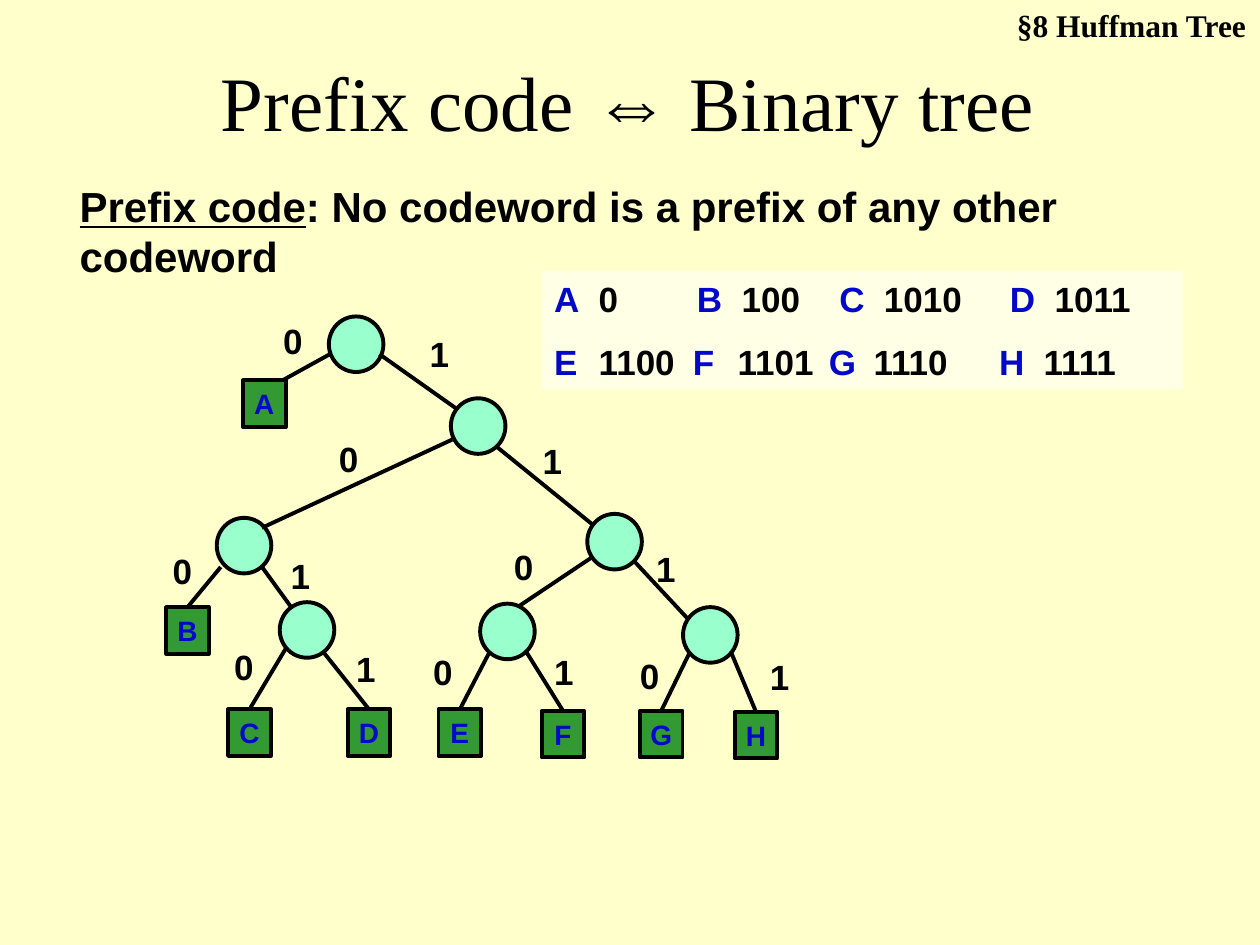
from dataclasses import dataclass

from pptx import Presentation
from pptx.dml.color import RGBColor
from pptx.enum.shapes import MSO_CONNECTOR, MSO_SHAPE
from pptx.enum.text import MSO_ANCHOR, MSO_AUTO_SIZE, PP_ALIGN
from pptx.oxml.ns import qn
from pptx.util import Cm, Pt


@dataclass(frozen=True)
class Theme:
    """Colours, fonts and type sizes of the slide."""
    background: str = "FFFFCC"
    panel: str = "FFFFE5"
    node: str = "99FFCC"
    leaf: str = "339933"
    ink: str = "000000"
    accent: str = "0207CA"
    sans: str = "Arial"
    serif: str = "Times New Roman"
    title: int = 44
    body: int = 24
    code: int = 20
    header: int = 18
    letter: int = 16
    stroke: float = 2.25


THEME = Theme()

CODES = {"A": "0", "B": "100", "C": "1010", "D": "1011",
         "E": "1100", "F": "1101", "G": "1110", "H": "1111"}

CODE_ROWS = [("ABCD", (0, 2.88, 5.75, 9.19)), ("EFGH", (0, 2.8, 5.54, 8.97))]
CODE_INDENT = 0.9

NODES = [(6.63, 6.38), (9.09, 8.03), (4.37, 10.44), (11.84, 10.36),
         (5.64, 12.14), (9.68, 12.17), (13.77, 12.24)]

LEAVES = {"A": (4.9, 7.67), "B": (3.35, 12.24), "C": (4.6, 14.3), "D": (7.01, 14.3),
          "E": (8.84, 14.3), "F": (10.92, 14.33), "G": (12.9, 14.33), "H": (14.81, 14.35)}

BRANCHES = {
    "0": ((6.65, 7.14), (5.69, 7.67), (5.46, 6.32)),
    "1": ((7.65, 7.14), (9.19, 8.23), (8.41, 6.58)),
    "10": ((9.12, 8.86), (5.28, 10.64), (6.58, 8.69)),
    "11": ((10.03, 9.02), (11.94, 10.57), (10.69, 8.74)),
    "100": ((4.45, 11.43), None, (3.23, 10.95)),
    "101": ((5.26, 11.4), (5.87, 12.24), (5.61, 11.05)),
    "110": ((11.91, 11.25), (10.46, 12.22), (10.11, 10.87)),
    "111": ((12.8, 11.33), (13.89, 12.5), (12.98, 10.92)),
    "1010": ((5.77, 13.06), None, (4.47, 12.88)),
    "1011": ((6.53, 13.16), None, (6.93, 12.93)),
    "1100": ((9.86, 13.16), None, (8.48, 12.98)),
    "1101": ((10.59, 13.11), None, (10.92, 12.98)),
    "1110": ((13.89, 13.18), None, (12.65, 13.06)),
    "1111": ((14.73, 13.13), None, (15.27, 13.08)),
}


def colour(value):
    """Turn a theme colour into an RGB colour."""
    return RGBColor.from_string(value)


def add_run(paragraph, text, size, ink=THEME.ink, font=THEME.sans, bold=True, underline=False):
    """Append one formatted run to a paragraph."""
    run = paragraph.add_run()
    run.text = text
    run.font.name = font
    run.font.size = Pt(size)
    run.font.bold = bold
    run.font.underline = underline
    run.font.color.rgb = colour(ink)


def place(shape, left, top, width, height):
    """Move and size a placeholder."""
    shape.left, shape.top = Cm(left), Cm(top)
    shape.width, shape.height = Cm(width), Cm(height)


def add_text_box(slide, left, top, width, height, wrap=True):
    """Add an empty text box."""
    box = slide.shapes.add_textbox(Cm(left), Cm(top), Cm(width), Cm(height))
    box.text_frame.word_wrap = wrap
    return box


def add_node(slide, preset, position, size, fill):
    """Add an outlined tree node."""
    shape = slide.shapes.add_shape(preset, *map(Cm, position + size))
    shape.shadow.inherit = False
    shape.fill.solid()
    shape.fill.fore_color.rgb = colour(fill)
    shape.line.color.rgb = colour(THEME.ink)
    shape.line.width = Pt(THEME.stroke)
    return shape


def add_leaf(slide, letter):
    """Add the square leaf of a letter."""
    leaf = add_node(slide, MSO_SHAPE.RECTANGLE, LEAVES[letter], (0.86, 0.94), THEME.leaf)
    frame = leaf.text_frame
    frame.word_wrap = False
    frame.vertical_anchor = MSO_ANCHOR.MIDDLE
    frame.paragraphs[0].alignment = PP_ALIGN.CENTER
    add_run(frame.paragraphs[0], letter, THEME.letter, THEME.accent)
    return leaf


def add_branch(slide, start, end, leaf):
    """Draw a branch to a point, or to the top of a leaf if no point is given."""
    branch = slide.shapes.add_connector(
        MSO_CONNECTOR.STRAIGHT, *map(Cm, start + (end or start)))
    if end is None:
        branch.end_connect(leaf, 0)
    branch.line.color.rgb = colour(THEME.ink)
    branch.line.width = Pt(THEME.stroke)
    properties = branch.element.spPr
    properties.append(properties.makeelement(qn("a:effectLst"), {}))


def add_tree(slide):
    """Draw the nodes, leaves, branches and bits of the tree."""
    for position in NODES:
        add_node(slide, MSO_SHAPE.OVAL, position, (1.1, 1.12), THEME.node)
    leaves = {code: add_leaf(slide, letter) for letter, code in CODES.items()}
    for code, (start, end, _) in BRANCHES.items():
        add_branch(slide, start, end, leaves.get(code))
    for code, (_, _, position) in BRANCHES.items():
        box = add_text_box(slide, *position, 0.89, 1.11, wrap=False)
        add_run(box.text_frame.paragraphs[0], code[-1], THEME.code)


def add_tab_stops(paragraph, stops):
    """Give a paragraph left tab stops."""
    properties = paragraph._p.get_or_add_pPr()
    tabs = properties.makeelement(qn("a:tabLst"), {})
    for stop in stops:
        tabs.append(tabs.makeelement(qn("a:tab"), {"pos": str(Cm(stop)), "algn": "l"}))
    properties.append(tabs)


def add_code_panel(slide):
    """List the codeword of each letter."""
    panel = add_text_box(slide, 10.92, 5.46, 12.93, 2.39)
    panel.fill.solid()
    panel.fill.fore_color.rgb = colour(THEME.panel)
    frame = panel.text_frame
    for index, (letters, columns) in enumerate(CODE_ROWS):
        paragraph = frame.add_paragraph() if index else frame.paragraphs[0]
        stops = [stop for column in columns for stop in (column, column + CODE_INDENT)]
        add_tab_stops(paragraph, stops[1:])
        paragraph.space_before = Pt(12.5 if index else 0)
        for position, letter in enumerate(letters):
            add_run(paragraph, "\t" + letter if position else letter, THEME.code, THEME.accent)
            add_run(paragraph, "\t" + CODES[letter], THEME.code)


def set_title(slide):
    """Fill the title placeholder."""
    title = slide.shapes.title
    place(title, 1.85, 0.43, 21.6, 3.18)
    title.text_frame.vertical_anchor = MSO_ANCHOR.MIDDLE
    paragraph = title.text_frame.paragraphs[0]
    paragraph.alignment = PP_ALIGN.CENTER
    for text, font in (("Prefix code ", THEME.serif), ("⇔", THEME.sans),
                       (" Binary tree", THEME.serif)):
        add_run(paragraph, text, THEME.title, font=font, bold=False)


def set_definition(slide):
    """Fill the body placeholder with the definition."""
    body = slide.placeholders[1]
    place(body, 1.35, 3.51, 23.47, 2.29)
    body.text_frame.auto_size = MSO_AUTO_SIZE.NONE
    paragraph = body.text_frame.paragraphs[0]
    properties = paragraph._p.get_or_add_pPr()
    properties.set("marL", "0")
    properties.set("indent", "0")
    properties.append(properties.makeelement(qn("a:buNone"), {}))
    paragraph.space_before = Pt(0)
    add_run(paragraph, "Prefix code", THEME.body, underline=True)
    add_run(paragraph, ": No codeword is a prefix of any other codeword", THEME.body)


def add_header(slide):
    """Add the section name in the top right corner."""
    header = add_text_box(slide, 19.58, 0, 5.79, 1.02)
    paragraph = header.text_frame.paragraphs[0]
    paragraph.alignment = PP_ALIGN.RIGHT
    add_run(paragraph, "§8 Huffman Tree", THEME.header, font=THEME.serif)


def main():
    """Build and save the slide."""
    presentation = Presentation()
    presentation.slide_width, presentation.slide_height = Cm(25.4), Cm(19.05)
    slide = presentation.slides.add_slide(presentation.slide_layouts[1])
    slide.background.fill.solid()
    slide.background.fill.fore_color.rgb = colour(THEME.background)
    set_title(slide)
    add_code_panel(slide)
    set_definition(slide)
    add_tree(slide)
    add_header(slide)
    presentation.save("out.pptx")


if __name__ == "__main__":
    main()
